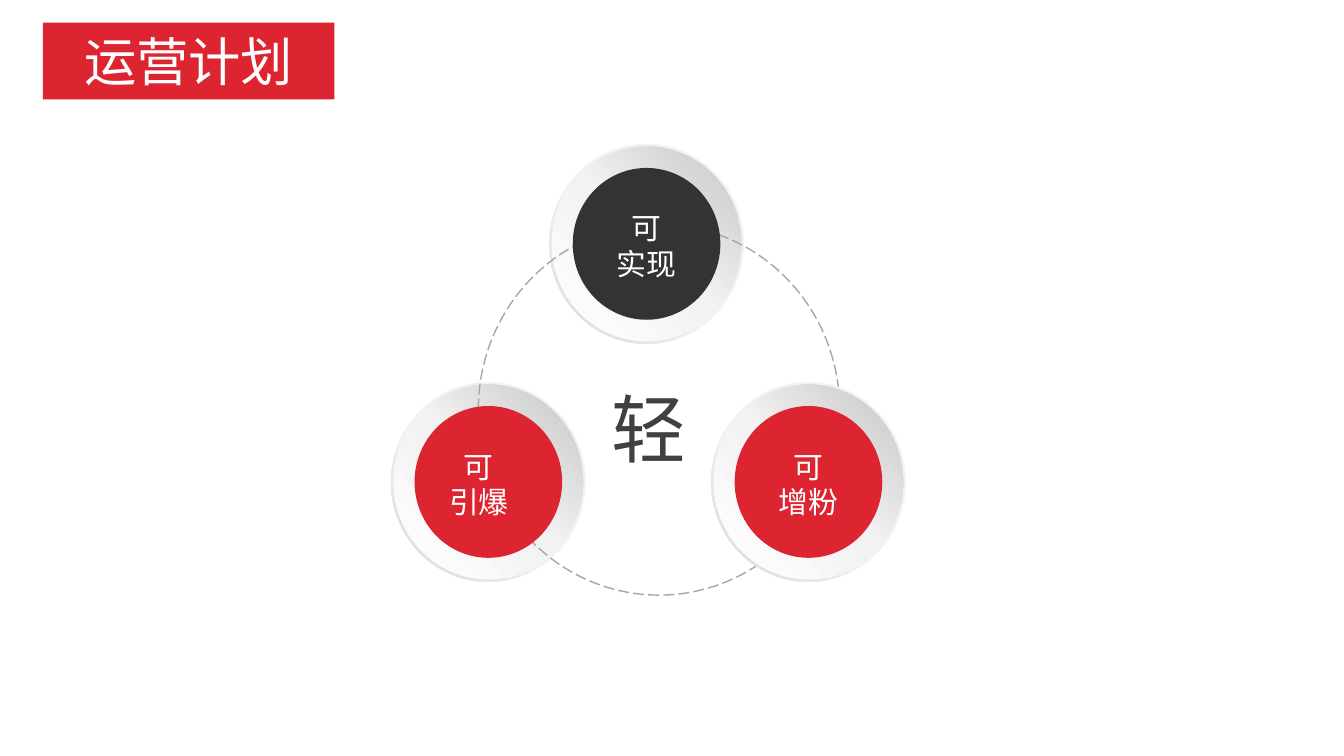
from lxml import etree
from pptx import Presentation
from pptx.dml.color import RGBColor
from pptx.enum.dml import MSO_LINE
from pptx.enum.shapes import MSO_SHAPE
from pptx.enum.text import MSO_ANCHOR, PP_ALIGN
from pptx.oxml.ns import qn
from pptx.util import Cm, Pt

RECTANGLE, OVAL, DONUT = MSO_SHAPE.RECTANGLE, MSO_SHAPE.OVAL, MSO_SHAPE.DONUT
LONG_DASH = MSO_LINE.LONG_DASH
MIDDLE = MSO_ANCHOR.MIDDLE
LEFT, CENTER = PP_ALIGN.LEFT, PP_ALIGN.CENTER

FONT = "Noto Sans CJK SC"
RED = RGBColor(0xDD, 0x24, 0x31)
CHARCOAL = RGBColor(0x33, 0x33, 0x33)
DARK_GREY = RGBColor(0x40, 0x40, 0x40)
MID_GREY = RGBColor(0xA6, 0xA6, 0xA6)
SILVER = RGBColor(0xC5, 0xC5, 0xC5)
LIGHT_GREY = RGBColor(0xD9, 0xD9, 0xD9)
PALE_GREY = RGBColor(0xF2, 0xF2, 0xF2)
WHITE = RGBColor(0xFF, 0xFF, 0xFF)

RIM_STOPS = [(0, PALE_GREY), (55, PALE_GREY), (100, LIGHT_GREY)]
DISH_STOPS = [(0, WHITE), (51, PALE_GREY), (100, SILVER)]

# Sizes in centimetres
RIM_SIZE = (3.68, 3.78)
DISH_SIZE = (3.58, 3.68)
CORE_SIZE = (2.79, 2.87)
LABEL_SIZE = (2.1, 1.63)
LABEL_DROP = 0.04


def centred_box(center, size):
    """Return left, top, width and height of a box around a centre."""
    return (center[0] - size[0] / 2, center[1] - size[1] / 2, *size)


def add_plain_shape(slide, kind, box, color=None):
    shape = slide.shapes.add_shape(kind, *map(Cm, box))
    shape.shadow.inherit = False
    shape.line.fill.background()
    if color is None:
        shape.fill.background()
    else:
        shape.fill.solid()
        shape.fill.fore_color.rgb = color
    return shape


def set_gradient(shape, stops, angle):
    """Fill with (percent, colour) stops; the angle runs counter-clockwise."""
    shape.fill.gradient()
    shape.fill.gradient_angle = angle
    stop_list = shape.element.spPr.find(".//" + qn("a:gsLst"))
    for stop in list(stop_list):
        stop_list.remove(stop)
    for percent, color in stops:
        stop = etree.SubElement(stop_list, qn("a:gs"), pos=str(percent * 1000))
        etree.SubElement(stop, qn("a:srgbClr"), val=str(color))


def write_text(shape, text, *, size, color, align=CENTER, wrap=True,
               line_spacing=None):
    frame = shape.text_frame
    frame.word_wrap = wrap
    frame.vertical_anchor = MIDDLE
    frame.text = text
    for paragraph in frame.paragraphs:
        paragraph.alignment = align
        if line_spacing:
            paragraph.line_spacing = line_spacing
        for run in paragraph.runs:
            run.font.name = FONT
            run.font.size = Pt(size)
            run.font.color.rgb = color
            properties = run.font._element
            etree.SubElement(properties, qn("a:ea"), typeface=FONT)


def add_title(slide, box):
    banner = add_plain_shape(slide, RECTANGLE, box, RED)
    write_text(banner, "运营计划", size=28, color=WHITE)


def add_ring(slide, center):
    rim = add_plain_shape(slide, DONUT, centred_box(center, RIM_SIZE))
    rim.adjustments[0] = 0.05
    set_gradient(rim, RIM_STOPS, 225)
    dish = add_plain_shape(slide, OVAL, centred_box(center, DISH_SIZE))
    set_gradient(dish, DISH_STOPS, 45)


def add_core(slide, center, text, color, label_shift=0):
    add_plain_shape(slide, OVAL, centred_box(center, CORE_SIZE), color)
    label_center = (center[0] + label_shift, center[1] + LABEL_DROP)
    label = slide.shapes.add_textbox(
        *map(Cm, centred_box(label_center, LABEL_SIZE)))
    write_text(label, text, size=16, color=WHITE, line_spacing=Pt(19.2))


def add_orbit(slide, box):
    orbit = add_plain_shape(slide, OVAL, box)
    orbit.line.color.rgb = MID_GREY
    orbit.line.width = Pt(0.75)
    orbit.line.dash_style = LONG_DASH


def add_cycle(slide, box):
    """Place three discs on a dashed orbit around the central word."""
    left, top, width, height = box
    upper = (left + 2.99 + RIM_SIZE[0] / 2, top + RIM_SIZE[1] / 2)
    lower_y = top + height - RIM_SIZE[1] / 2
    lower_left = (left + RIM_SIZE[0] / 2, lower_y)
    lower_right = (left + width - RIM_SIZE[0] / 2, lower_y)

    add_ring(slide, upper)
    add_ring(slide, lower_left)
    add_orbit(slide, (left + 1.65, top + 1.52, 6.83, 7.01))
    add_core(slide, upper, "可\n实现", CHARCOAL)
    add_core(slide, lower_left, "可\n引爆", RED, label_shift=-0.18)
    add_ring(slide, lower_right)
    add_core(slide, lower_right, "可\n增粉", RED)

    word = slide.shapes.add_textbox(
        Cm(left + 3.91), Cm(top + 4.39), Cm(1.93), Cm(1.96))
    write_text(word, "轻", size=40, color=DARK_GREY, align=LEFT, wrap=False)


def main():
    presentation = Presentation()
    presentation.slide_width = Cm(25.4)
    presentation.slide_height = Cm(14.29)
    slide = presentation.slides.add_slide(presentation.slide_layouts[6])
    add_title(slide, (0.81, 0.43, 5.51, 1.45))
    add_cycle(slide, (7.39, 2.72, 9.73, 8.28))
    presentation.save("out.pptx")


if __name__ == "__main__":
    main()
